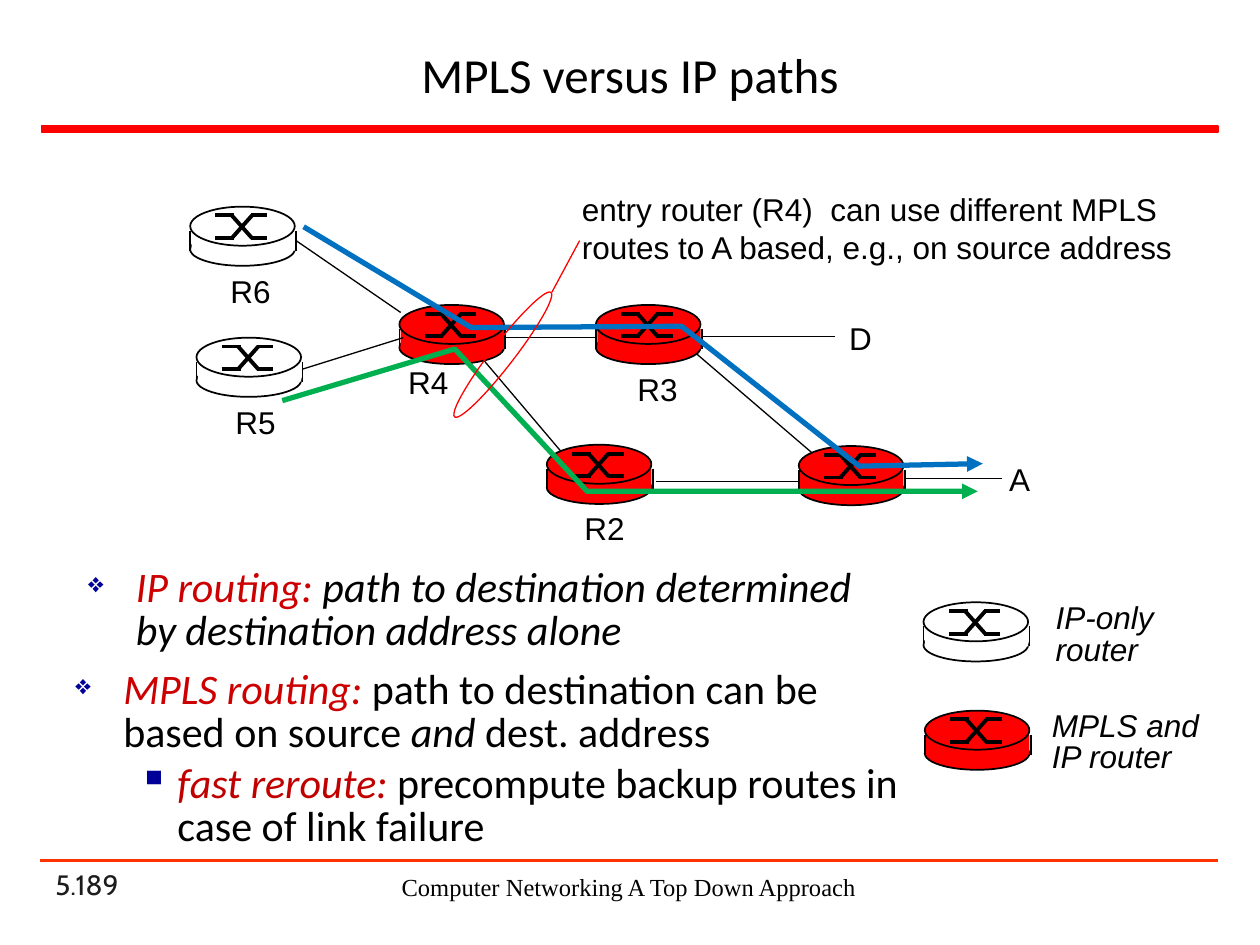
from dataclasses import dataclass
from typing import NamedTuple

from lxml.etree import SubElement as Sub
from pptx import Presentation as Deck
from pptx.dml.color import RGBColor as Rgb
from pptx.enum.shapes import MSO_CONNECTOR as Link, MSO_SHAPE as Kind
from pptx.enum.text import MSO_ANCHOR as Anchor, MSO_AUTO_SIZE as Fit, PP_ALIGN as Align
from pptx.oxml.ns import qn
from pptx.util import Inches, Pt


@dataclass(frozen=True)
class Theme:
    black: str = "000000"
    white: str = "FFFFFF"
    red: str = "FF0000"
    orange: str = "FF3300"
    blue: str = "0070C0"
    green: str = "00B050"
    navy: str = "000099"
    crimson: str = "CC0000"
    dark_red: str = "C00000"
    grey: str = "1C1C1C"
    title: int = 28
    body: int = 24
    label: int = 18
    page: int = 16
    foot: int = 14
    hair: float = 0.75
    edge: float = 1
    rule: float = 1.5
    cross: float = 2.25
    route: float = 3


T = Theme()


class Run(NamedTuple):
    text: str
    size: int = T.label
    font: str = "Arial"
    color: str = T.black
    slant: bool = False


class Para(NamedTuple):
    runs: list[Run]
    mark: str = ""
    size: int = 100      # bullet size in percent
    left: float = 0
    hang: float = 0
    space: float | None = None
    align: Align = Align.LEFT


class Box(NamedTuple):
    at: tuple[float, float, float, float]
    paras: list[Para]
    wrap: bool = True
    anchor: Anchor = Anchor.TOP


class Router(NamedTuple):
    x: float
    y: float
    color: str


class Stroke(NamedTuple):
    x1: float
    y1: float
    x2: float
    y2: float


class Route(NamedTuple):
    color: str
    points: list[tuple[float, float]]


def draw_line(shapes, s: Stroke, color: str, width: float) -> None:
    line = shapes.add_connector(Link.STRAIGHT, *map(Inches, s))
    line.line.color.rgb = Rgb.from_string(color)
    line.line.width = Pt(width)
    Sub(line._element.spPr, qn("a:effectLst"))


def draw_shape(shapes, kind, at: tuple, fill: str = "", edge: str = "", width: float = T.edge):
    shape = shapes.add_shape(kind, *map(Inches, at))
    shape.shadow.inherit = False
    if fill:
        shape.fill.solid()
        shape.fill.fore_color.rgb = Rgb.from_string(fill)
    else:
        shape.fill.background()
    if edge:
        shape.line.color.rgb = Rgb.from_string(edge)
        shape.line.width = Pt(width)
    else:
        shape.line.fill.background()
    return shape


def draw_router(shapes, r: Router) -> None:
    parts = shapes.add_group_shape().shapes
    x, y = r.x, r.y
    draw_shape(parts, Kind.OVAL, (x, y + 0.21, 0.83, 0.26), r.color, T.black)
    for side in (x, x + 0.84):
        draw_line(parts, Stroke(side, y + 0.19, side, y + 0.35), T.black, T.edge)
    draw_shape(parts, Kind.RECTANGLE, (x + 0.01, y + 0.19, 0.82, 0.16), r.color)
    draw_shape(parts, Kind.OVAL, (x, y, 0.83, 0.31), r.color, T.black)
    # The two crossing tracks on the lid, each of three strokes
    for a, b in ((0.07, 0.25), (0.25, 0.07)):
        for x1, y1, x2, y2 in ((0.2, a, 0.35, a), (0.33, a, 0.49, b), (0.48, b, 0.61, b)):
            draw_line(parts, Stroke(x + x1, y + y1, x + x2, y + y2), T.black, T.cross)


def draw_route(shapes, r: Route) -> None:
    first, *rest = [(Inches(x), Inches(y)) for x, y in r.points]
    path = shapes.build_freeform(*first)
    path.add_line_segments(rest, close=False)
    shape = path.convert_to_shape()
    shape.shadow.inherit = False
    shape.fill.background()
    shape.line.color.rgb = Rgb.from_string(r.color)
    shape.line.width = Pt(T.route)
    Sub(shape.line._get_or_add_ln(), qn("a:tailEnd"), type="triangle")


def add_mark(para, p: Para) -> None:
    props = para._p.get_or_add_pPr()
    props.set("marL", str(Inches(p.left)))
    props.set("indent", str(Inches(-p.hang)))
    Sub(Sub(props, qn("a:buClr")), qn("a:srgbClr"), val=T.navy)
    Sub(props, qn("a:buSzPct"), val=str(p.size * 1000))
    Sub(props, qn("a:buChar"), char=p.mark)


def draw_text(shapes, box: Box) -> None:
    frame = shapes.add_textbox(*map(Inches, box.at)).text_frame
    frame.word_wrap = box.wrap
    frame.vertical_anchor = box.anchor
    if not box.wrap:
        frame.auto_size = Fit.SHAPE_TO_FIT_TEXT
    for i, p in enumerate(box.paras):
        para = frame.add_paragraph() if i else frame.paragraphs[0]
        para.alignment = p.align
        if p.mark:
            add_mark(para, p)
            if i:
                para.space_before = Pt(5)
        if p.space is not None:
            para.line_spacing = p.space
        for r in p.runs:
            run = para.add_run()
            run.text = r.text
            run.font.size = Pt(r.size)
            run.font.name = r.font
            run.font.italic = r.slant
            run.font.color.rgb = Rgb.from_string(r.color)


def body(text: str, color: str = T.black, slant: bool = False) -> Run:
    return Run(text, T.body, "Calibri", color, slant)


def label(text: str, x: float, y: float) -> Box:
    return Box((x, y, 0.52, 0.4), [Para([Run(text)])], wrap=False)


def legend(x: float, y: float, width: float, *lines: str) -> Box:
    paras = [Para([Run(t, slant=True)], space=Pt(18)) for t in lines]
    return Box((x, y, width, 0.61), paras, wrap=False)


ROUTERS = [Router(6.34, 3.54, T.red), Router(4.34, 3.53, T.red), Router(4.73, 2.42, T.red),
           Router(3.17, 2.42, T.red), Router(1.51, 1.64, T.white), Router(1.56, 2.68, T.white),
           Router(7.33, 4.78, T.white), Router(7.34, 5.64, T.red)]
LINKS = [Stroke(2.35, 1.91, 3.18, 2.48), Stroke(2.4, 2.93, 3.2, 2.68),
         Stroke(4.01, 2.68, 4.73, 2.68), Stroke(3.84, 2.86, 4.45, 3.58),
         Stroke(5.21, 3.82, 6.35, 3.82), Stroke(5.53, 2.81, 6.44, 3.59),
         Stroke(7.18, 3.8, 7.95, 3.8), Stroke(5.57, 2.67, 6.63, 2.67)]
ROUTES = [Route(T.blue, [(2.41, 1.8), (3.74, 2.6), (5.41, 2.59), (6.82, 3.7), (7.8, 3.68)]),
          Route(T.green, [(2.24, 3.18), (3.61, 2.77), (4.66, 3.9), (7.76, 3.9)])]
TEXTS = [
    # Title and footer
    Box((0.33, 0.24, 9.34, 0.7), [Para([Run("MPLS versus IP paths", T.title, "Calibri")],
                                      align=Align.CENTER)], anchor=Anchor.MIDDLE),
    Box((0.34, 6.98, 2.08, 0.22), [Para([Run("5.189", T.page, "Cabin", T.grey)])],
        anchor=Anchor.BOTTOM),
    Box((2.95, 6.87, 4.08, 0.34), [Para([Run("Computer Networking A Top Down Approach", T.foot,
                                            "Times New Roman")], align=Align.CENTER)]),
    # Node labels, callout and legend
    label("R2", 4.54, 3.99), label("R3", 4.96, 2.89), label("R4", 3.14, 2.83),
    label("R5", 1.77, 3.15), label("R6", 1.73, 2.11), label("D", 6.64, 2.48),
    label("A", 7.91, 3.6),
    Box((4.52, 1.46, 5.19, 0.71), [Para([Run("entry router (R4)  can use different MPLS routes "
                                            "to A based, e.g., on source address")])]),
    legend(8.28, 4.75, 0.99, "IP-only", "router"),
    legend(8.25, 5.6, 1.45, "MPLS and", "IP router"),
    # Bullets
    Box((0.6, 4.46, 6.49, 0.78), [
        Para([body("IP routing: ", T.crimson, True),
              body("path to destination determined by destination address alone", slant=True)],
             "❖", 65, 0.38, 0.38, 0.85)]),
    Box((0.5, 5.27, 6.78, 1.51), [
        Para([body("MPLS routing: ", T.crimson, True),
              body("path to destination can be based on source "),
              body("and", slant=True), body(" dest. address")], "❖", 65, 0.38, 0.38, 0.85),
        Para([body("fast reroute: ", T.dark_red, True),
              body("precompute backup routes in case of link failure")],
             "▪", 100, 0.81, 0.31, 0.85)]),
]


def main() -> None:
    deck = Deck()
    deck.slide_width, deck.slide_height = Inches(10), Inches(7.5)
    shapes = deck.slides.add_slide(deck.slide_layouts[6]).shapes

    # Rules above and below the content
    draw_shape(shapes, Kind.RECTANGLE, (0.33, 1, 9.34, 0.05), T.red, T.red)
    draw_line(shapes, Stroke(0.32, 6.83, 9.67, 6.83), T.orange, T.rule)

    # Network, then the routes over it
    for router in ROUTERS:
        draw_router(shapes, router)
    for link in LINKS:
        draw_line(shapes, link, T.black, T.hair)
    for route in ROUTES:
        draw_route(shapes, route)

    # Ring around both routes, with its leader
    ring = draw_shape(shapes, Kind.OVAL, (3.9, 2.19, 0.18, 1.25), edge=T.red, width=T.hair)
    ring.rotation = 37.7
    draw_line(shapes, Stroke(4.38, 2.32, 4.6, 1.91), T.red, T.hair)

    for box in TEXTS:
        draw_text(shapes, box)
    deck.save("out.pptx")


if __name__ == "__main__":
    main()
